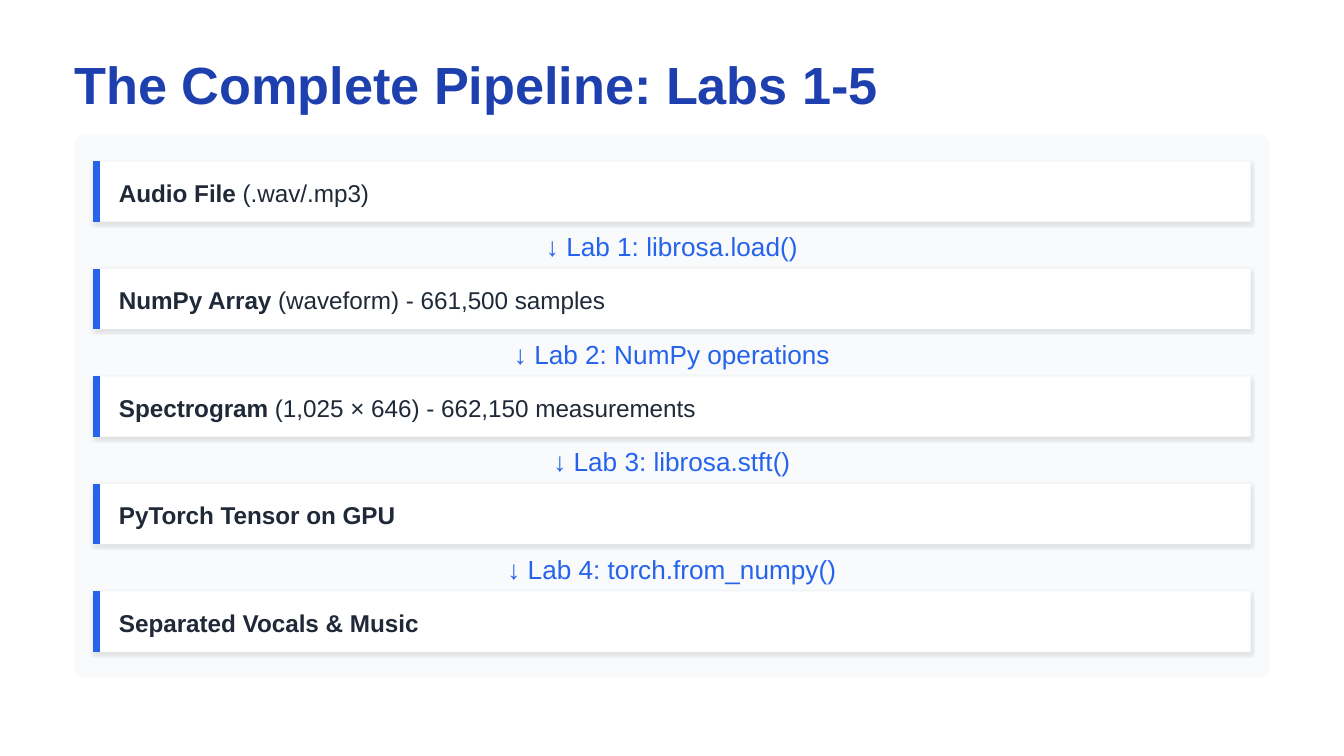
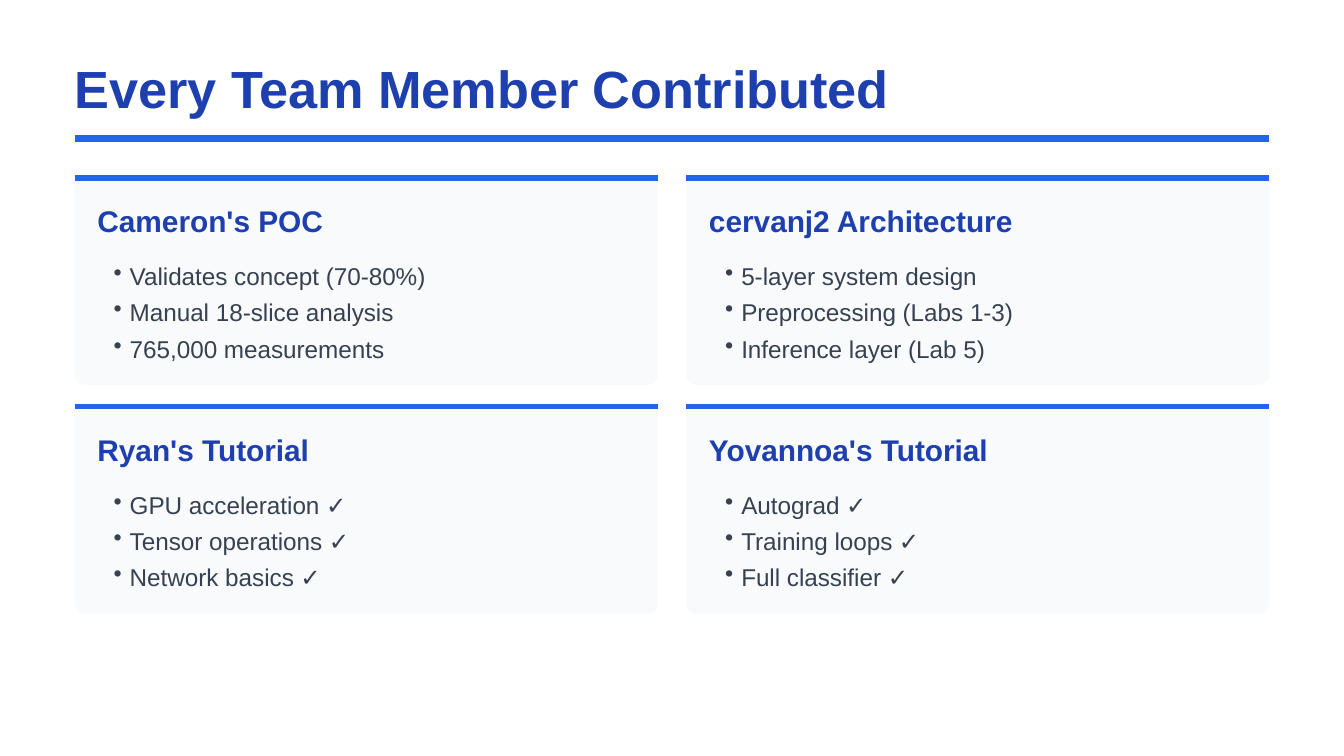
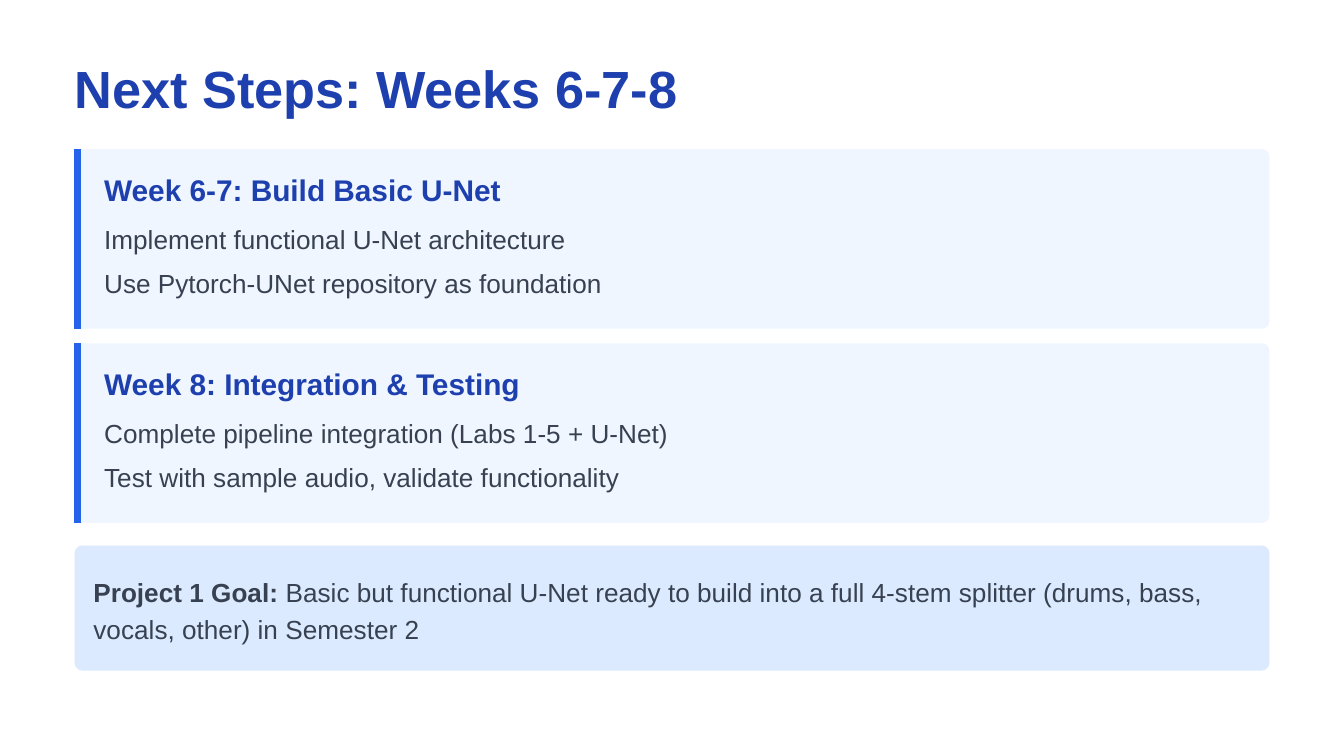
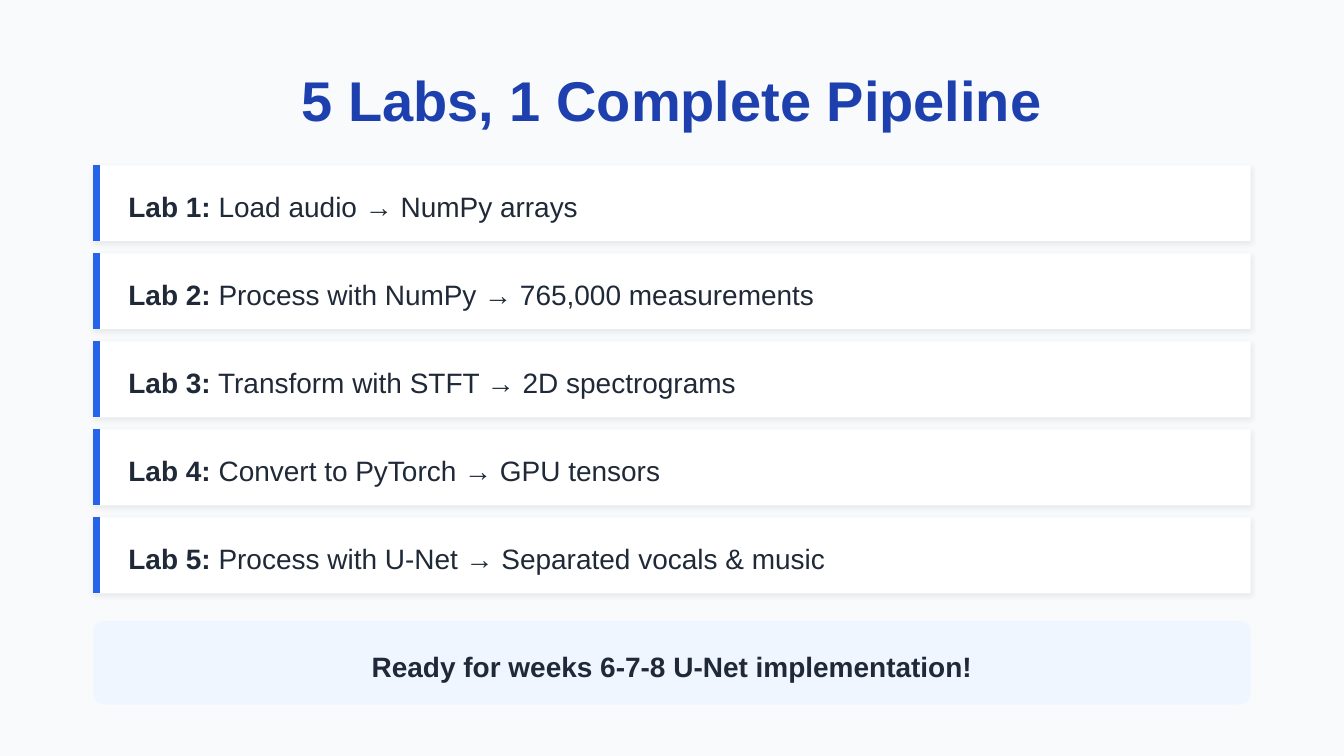
from dataclasses import dataclass, replace
from typing import NamedTuple, Optional

from lxml.etree import SubElement
from pptx import Presentation
from pptx.dml.color import RGBColor
from pptx.enum.shapes import MSO_CONNECTOR as Connector, MSO_SHAPE as Preset
from pptx.enum.text import MSO_ANCHOR as Anchor, MSO_AUTO_SIZE as AutoSize, PP_ALIGN as Align
from pptx.oxml.ns import qn
from pptx.util import Pt

PX = 4572  # EMU in one px, 200 px to the inch
FONT = "Arial"
COLORS = {
    "white": "FFFFFF",
    "navy": "1E40AF",
    "blue": "2563EB",
    "ink": "1F2937",
    "slate": "374151",
    "mist": "F8FAFC",
    "ice": "EFF6FF",
    "sky": "DBEAFE",
    "black": "000000",
}
MARGIN, CONTENT_WIDTH = 111, 1778
STRIP_LEFT, STRIP_WIDTH = 139, 1722
TITLE_WIDTH = 1814
BULLET_INDENT = 24


class Box(NamedTuple):
    left: int
    top: int
    width: int
    height: int


class Line(NamedTuple):
    """One paragraph: a bold lead, then regular text."""
    lead: str
    rest: str = ""


class Card(NamedTuple):
    heading: str
    points: tuple[str, ...]


@dataclass(frozen=True)
class Style:
    size: int
    color: str
    bold: bool = False
    align: Align = Align.LEFT
    leading: Optional[float] = None
    gap: int = 0  # points before and after
    bullet: bool = False


@dataclass(frozen=True)
class Shadow:
    alpha: int  # percent
    blur: int  # points
    distance: int  # points


TITLE = Style(28, "navy", bold=True)
HEADING = Style(16, "navy", bold=True)
STAGE = Style(13, "ink", leading=16.2, gap=2)
STEP = Style(14, "blue", align=Align.CENTER, leading=17.5, gap=1)
POINT = Style(13, "slate", leading=19.5, bullet=True)
BODY = Style(14, "slate", leading=19.6, gap=4)
LAB = Style(15, "ink", leading=21)
STAGE_SHADOW = Shadow(10, 2, 1)
LAB_SHADOW = Shadow(8, 3, 1)

STAGES = (
    Line("Audio File", " (.wav/.mp3)"),
    Line("NumPy Array", " (waveform) - 661,500 samples"),
    Line("Spectrogram", " (1,025 × 646) - 662,150 measurements"),
    Line("PyTorch Tensor on GPU"),
    Line("Separated Vocals & Music"),
)
STEPS = (
    "↓ Lab 1: librosa.load()",
    "↓ Lab 2: NumPy operations",
    "↓ Lab 3: librosa.stft()",
    "↓ Lab 4: torch.from_numpy()",
)
MEMBERS = (
    Card("Cameron's POC",
         ("Validates concept (70-80%)", "Manual 18-slice analysis", "765,000 measurements")),
    Card("cervanj2 Architecture",
         ("5-layer system design", "Preprocessing (Labs 1-3)", "Inference layer (Lab 5)")),
    Card("Ryan's Tutorial",
         ("GPU acceleration ✓", "Tensor operations ✓", "Network basics ✓")),
    Card("Yovannoa's Tutorial",
         ("Autograd ✓", "Training loops ✓", "Full classifier ✓")),
)
WEEKS = (
    Card("Week 6-7: Build Basic U-Net",
         ("Implement functional U-Net architecture",
          "Use Pytorch-UNet repository as foundation")),
    Card("Week 8: Integration & Testing",
         ("Complete pipeline integration (Labs 1-5 + U-Net)",
          "Test with sample audio, validate functionality")),
)
GOAL = Line("Project 1 Goal:",
            " Basic but functional U-Net ready to build into a full 4-stem splitter"
            " (drums, bass, vocals, other) in Semester 2")
LABS = (
    Line("Lab 1:", " Load audio → NumPy arrays"),
    Line("Lab 2:", " Process with NumPy → 765,000 measurements"),
    Line("Lab 3:", " Transform with STFT → 2D spectrograms"),
    Line("Lab 4:", " Convert to PyTorch → GPU tensors"),
    Line("Lab 5:", " Process with U-Net → Separated vocals & music"),
)


def rgb(name: str) -> RGBColor:
    return RGBColor.from_string(COLORS[name])


def emu(box: Box) -> list[int]:
    return [length * PX for length in box]


# Text
def set_bullet(paragraph) -> None:
    props = paragraph._p.get_or_add_pPr()
    props.set("marL", str(BULLET_INDENT * PX))
    props.set("indent", str(-BULLET_INDENT * PX))
    mark = props.makeelement(qn("a:buChar"), {"char": "•"})
    props.insert_element_before(mark, "a:tabLst", "a:defRPr", "a:extLst")


def write_paragraph(paragraph, line: Line, style: Style) -> None:
    font = paragraph.font
    font.name, font.size = FONT, Pt(style.size)
    font.color.rgb = rgb(style.color)
    paragraph.alignment = style.align
    if style.leading:
        paragraph.line_spacing = Pt(style.leading)
    paragraph.space_before = paragraph.space_after = Pt(style.gap)
    if style.bullet:
        set_bullet(paragraph)
    if line.lead and line.rest:
        for words, bold in zip(line, (True, False)):
            run = paragraph.add_run()
            run.text, run.font.bold = words, bold
    else:
        font.bold = bool(line.lead) or style.bold
        paragraph.add_run().text = line.lead or line.rest


def write_frame(frame, lines: list[Line], style: Style) -> None:
    frame.word_wrap = True
    frame.auto_size = AutoSize.NONE
    frame.vertical_anchor = Anchor.TOP
    frame.margin_left = BULLET_INDENT * PX if style.bullet else 0
    frame.margin_top = frame.margin_right = frame.margin_bottom = 0
    for number, line in enumerate(lines):
        paragraph = frame.add_paragraph() if number else frame.paragraphs[0]
        write_paragraph(paragraph, line, style)


def add_text(slide, box: Box, style: Style, *lines: Line) -> None:
    write_frame(slide.shapes.add_textbox(*emu(box)).text_frame, list(lines), style)


def add_titled_slide(deck, title: str, box: Box, style: Style = TITLE):
    slide = deck.slides.add_slide(deck.slide_layouts[5])
    heading = slide.shapes.title
    heading.left, heading.top, heading.width, heading.height = emu(box)
    write_frame(heading.text_frame, [Line("", title)], style)
    return slide


# Panels and accent lines
def add_panel(slide, box: Box, color: str, corner: float = 0,
              shadow: Optional[Shadow] = None) -> None:
    preset = Preset.ROUNDED_RECTANGLE if corner else Preset.RECTANGLE
    panel = slide.shapes.add_shape(preset, *emu(box))
    if corner:
        panel.adjustments[0] = corner
    panel.fill.solid()
    panel.fill.fore_color.rgb = rgb(color)
    panel.line.fill.background()
    panel.shadow.inherit = False
    if shadow:
        effects = panel._element.spPr.find(qn("a:effectLst"))
        outer = SubElement(effects, qn("a:outerShdw"), blurRad=str(Pt(shadow.blur)),
                           dist=str(Pt(shadow.distance)), dir="5400000",
                           algn="bl", rotWithShape="0")
        tint = SubElement(outer, qn("a:srgbClr"), val=COLORS["black"])
        SubElement(tint, qn("a:alpha"), val=str(shadow.alpha * 1000))


def add_accent(slide, x1: int, y1: int, x2: int, y2: int, weight: float = 3.75) -> None:
    accent = slide.shapes.add_connector(Connector.STRAIGHT, x1 * PX, y1 * PX, x2 * PX, y2 * PX)
    accent.line.color.rgb = rgb("blue")
    accent.line.width = Pt(weight)
    SubElement(accent._element.spPr, qn("a:effectLst"))


def add_side_panel(slide, box: Box, color: str, corner: float = 0,
                   shadow: Optional[Shadow] = None) -> None:
    add_panel(slide, box, color, corner, shadow)
    x = box.left + 5
    add_accent(slide, x, box.top, x, box.top + box.height)


# Slides
def build_pipeline(deck) -> None:
    slide = add_titled_slide(deck, "The Complete Pipeline: Labs 1-5",
                             Box(MARGIN, 78, TITLE_WIDTH, 90))
    add_panel(slide, Box(MARGIN, 200, CONTENT_WIDTH, 808), "mist", 0.02)
    first, pitch = 240, 160
    for number, stage in enumerate(STAGES):
        top = first + number * pitch
        add_side_panel(slide, Box(STRIP_LEFT, top, STRIP_WIDTH, 90), "white",
                       shadow=STAGE_SHADOW)
        add_text(slide, Box(177, top + 23, 1690, 46), STAGE, stage)
    for number, step in enumerate(STEPS):
        add_text(slide, Box(122, first + number * pitch + 101, 1756, 48), STEP, Line("", step))


def build_team(deck) -> None:
    slide = add_titled_slide(deck, "Every Team Member Contributed",
                             Box(MARGIN, 84, TITLE_WIDTH, 90))
    add_accent(slide, MARGIN, 206, MARGIN + CONTENT_WIDTH, 206)
    width, height = 868, 312
    for number, member in enumerate(MEMBERS):
        row, column = divmod(number, 2)
        left, top = MARGIN + column * 910, 261 + row * 340
        add_panel(slide, Box(left, top, width, height), "mist", 0.05)
        add_accent(slide, left, top + 4, left + width, top + 4, 3)
        add_text(slide, Box(left + 34, top + 41, 818, 52), HEADING, Line("", member.heading))
        add_text(slide, Box(left + 34, top + 117, 802, 162), POINT,
                 *(Line("", point) for point in member.points))


def build_next_steps(deck) -> None:
    slide = add_titled_slide(deck, "Next Steps: Weeks 6-7-8",
                             Box(MARGIN, 84, TITLE_WIDTH, 90))
    for number, week in enumerate(WEEKS):
        top = 222 + number * 289
        add_side_panel(slide, Box(MARGIN, top, CONTENT_WIDTH, 267), "ice", 0.04)
        add_text(slide, Box(155, top + 33, 1734, 52), HEADING, Line("", week.heading))
        for row, point in enumerate(week.points):
            add_text(slide, Box(155, top + 102 + row * 66, 1734, 54), BODY, Line("", point))
    # Project goal
    add_panel(slide, Box(MARGIN, 812, CONTENT_WIDTH, 186), "sky", 0.06)
    add_text(slide, Box(STRIP_LEFT, 850, 1756, 108), BODY, GOAL)


def build_summary(deck) -> None:
    slide = add_titled_slide(deck, "5 Labs, 1 Complete Pipeline", Box(122, 98, 1756, 94),
                             replace(TITLE, size=30, align=Align.CENTER))
    slide.background.fill.solid()
    slide.background.fill.fore_color.rgb = rgb("mist")
    for number, lab in enumerate(LABS):
        top = 246 + number * 131
        add_side_panel(slide, Box(STRIP_LEFT, top, STRIP_WIDTH, 113), "white",
                       shadow=LAB_SHADOW)
        add_text(slide, Box(191, top + 27, 1662, 58), LAB, lab)
    # Closing line
    add_panel(slide, Box(STRIP_LEFT, 924, STRIP_WIDTH, 124), "ice", 0.13)
    add_text(slide, Box(156, 958, 1688, 58), replace(LAB, align=Align.CENTER),
             Line("Ready for weeks 6-7-8 U-Net implementation!"))


def main() -> None:
    deck = Presentation()
    deck.slide_width, deck.slide_height = 2000 * PX, 1125 * PX
    for build in (build_pipeline, build_team, build_next_steps, build_summary):
        build(deck)
    deck.save("out.pptx")


if __name__ == "__main__":
    main()
